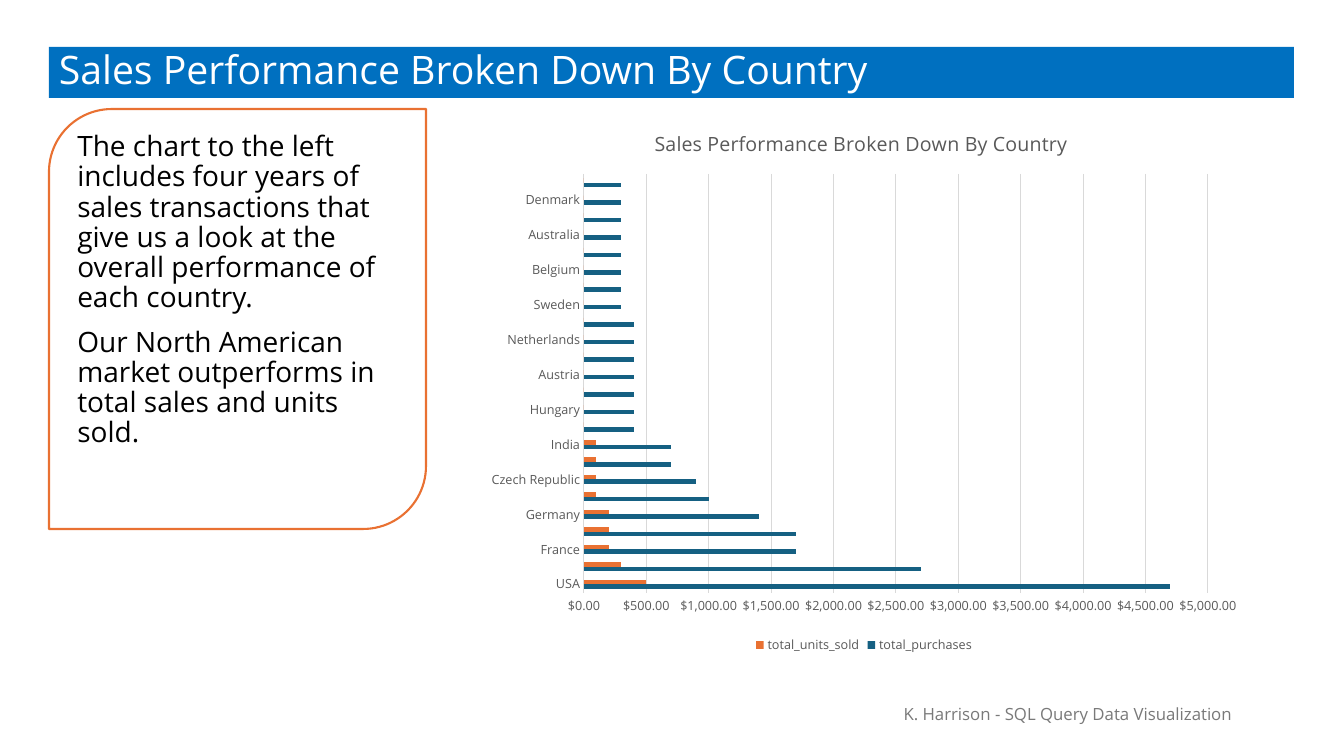
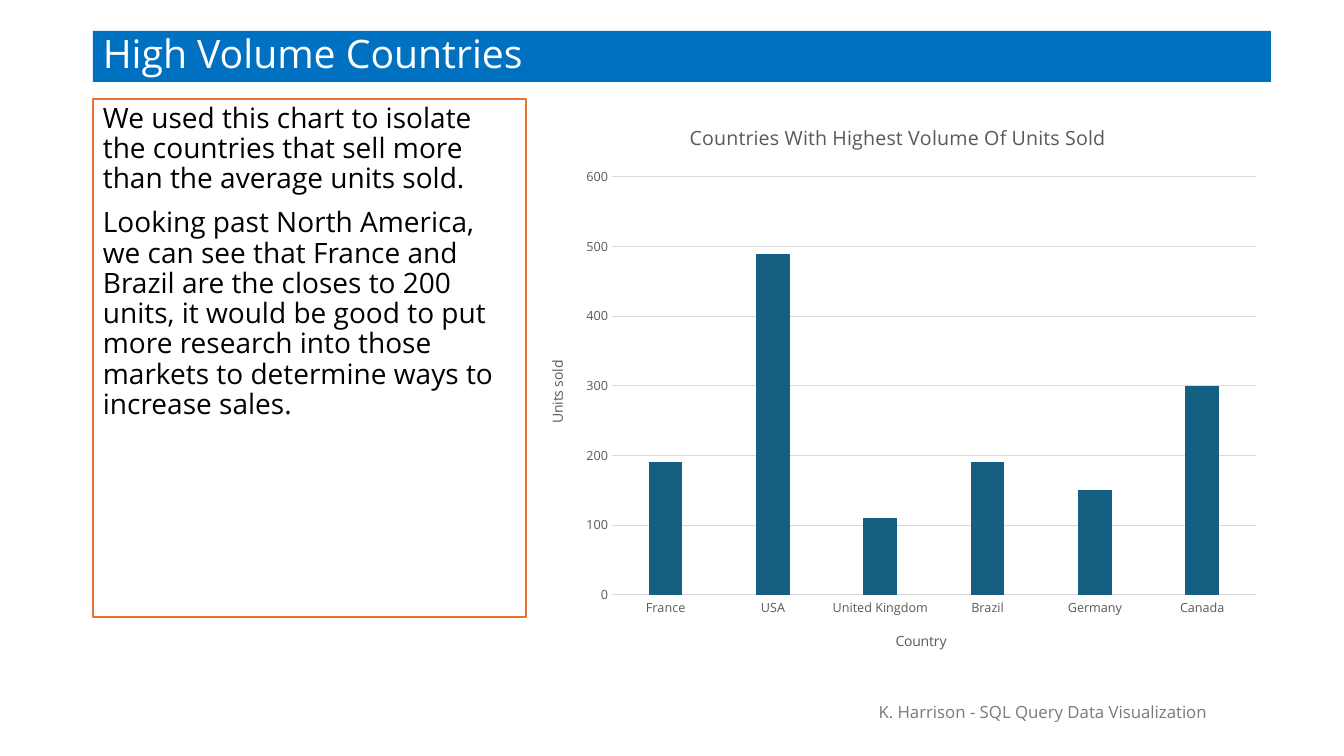
import pptx
import pptx.chart.data
import pptx.dml.color
import pptx.enum.chart
import pptx.enum.shapes
import pptx.enum.text
import pptx.oxml
import pptx.oxml.ns
import pptx.util

RGBColor = pptx.dml.color.RGBColor
BLUE = RGBColor(0x00, 0x70, 0xC0)
TEAL = RGBColor(0x15, 0x60, 0x82)
ORANGE = RGBColor(0xE9, 0x71, 0x32)
WHITE = RGBColor(0xFF, 0xFF, 0xFF)
BLACK = RGBColor(0x00, 0x00, 0x00)
CHART_GRAY = RGBColor(0x59, 0x59, 0x59)
FOOTER_GRAY = RGBColor(0x79, 0x79, 0x79)
GRID_GRAY = RGBColor(0xD9, 0xD9, 0xD9)

FONT = "Open Sans"
FOOTER = "K. Harrison - SQL Query Data Visualization"
EMU_PER_PX = 914400 / 100.8
SHAPES = pptx.enum.shapes.MSO_SHAPE
ANCHORS = pptx.enum.text.MSO_ANCHOR
ALIGNMENTS = pptx.enum.text.PP_ALIGN
CHARTS = pptx.enum.chart.XL_CHART_TYPE
qn = pptx.oxml.ns.qn

TITLE_STYLE = {
    "fill": BLUE, "line": None, "size": 28, "color": WHITE, "anchor": ANCHORS.BOTTOM,
    "paragraph": {"alignment": ALIGNMENTS.LEFT, "line_spacing": 0.9},
}
BODY_STYLE = {
    "fill": WHITE, "line": ORANGE, "size": 20, "color": BLACK, "anchor": ANCHORS.TOP,
    "paragraph": {"alignment": ALIGNMENTS.LEFT, "line_spacing": 0.9,
                  "space_before": pptx.util.Pt(10)},
}
FOOTER_STYLE = {
    "fill": None, "line": None, "size": 12, "color": FOOTER_GRAY, "anchor": ANCHORS.MIDDLE,
    "paragraph": {"alignment": ALIGNMENTS.CENTER},
}

SLIDES = [
    {
        "title": ("Sales Performance Broken Down By Country", (49, 47, 1245, 51)),
        "body_shape": SHAPES.ROUND_2_DIAG_RECTANGLE,
        "body_box": (49, 109, 377, 420),
        "body": [
            "The chart to the left includes four years of sales transactions that give us "
            "a look at the overall performance of each country.",
            "Our North American market outperforms in total sales and units sold.",
        ],
        "footer_box": (841, 694, 454, 40),
        "chart": {
            "type": CHARTS.BAR_CLUSTERED,
            "box": (476, 109, 776, 549),
            "plot_box": (584, 174, 624, 419),
            "title": ("Sales Performance Broken Down By Country", (651, 125)),
            "axis_titles": [],
            "categories": [
                "USA", "Canada", "France", "Brazil", "Germany", "United Kingdom",
                "Czech Republic", "Portugal", "India", "Ireland", "Hungary", "Chile",
                "Austria", "Norway", "Netherlands", "Finland", "Sweden", "Argentina",
                "Belgium", "Poland", "Australia", "Italy", "Denmark", "Spain",
            ],
            "series": [
                ("total_purchases", TEAL,
                 [4700, 2700, 1700, 1700, 1400, 1000, 900, 700, 700]
                 + [400] * 7 + [300] * 8),
                ("total_units_sold", ORANGE,
                 [500, 300, 200, 200, 200] + [100] * 4 + [0] * 15),
            ],
            "plot": {"gap_width": 182},
            "scale": {"minimum_scale": 0, "maximum_scale": 5000, "major_unit": 500},
            "number_format": '"$"#,##0.00',
            "legend": True,
        },
    },
    {
        "title": ("High Volume Countries", (93, 31, 1178, 51)),
        "body_shape": SHAPES.RECTANGLE,
        "body_box": (93, 99, 433, 518),
        "body": [
            "We used this chart to isolate the countries that sell more than the average "
            "units sold.",
            "Looking past North America, we can see that France and Brazil are the closes "
            "to 200 units, it would be good to put more research into those markets to "
            "determine ways to increase sales.",
        ],
        "footer_box": (816, 692, 454, 40),
        "chart": {
            "type": CHARTS.COLUMN_CLUSTERED,
            "box": (526, 103, 745, 570),
            "plot_box": (612, 177, 644, 418),
            "title": ("Countries With Highest Volume Of Units Sold", (686, 119)),
            "axis_titles": [
                ("category_axis", "Country", (893, 628), 0),
                ("value_axis", "Units sold", (544, 358), -90),
            ],
            "categories": ["France", "USA", "United Kingdom", "Brazil", "Germany", "Canada"],
            "series": [("Units sold", TEAL, [190, 490, 110, 190, 150, 300])],
            "plot": {"gap_width": 219, "overlap": -27},
            "scale": {"minimum_scale": 0, "maximum_scale": 600, "major_unit": 100},
            "number_format": "General",
            "legend": False,
        },
    },
]


def px(*lengths):
    """Turn pixel lengths into EMU."""
    return [pptx.util.Emu(round(length * EMU_PER_PX)) for length in lengths]


def place_in_chart(element, index, chart_box, box):
    """Fix a title (left, top) or plot area (left, top, width, height) within its chart."""
    for old_layout in element.findall(qn("c:layout")):
        element.remove(old_layout)
    layout = pptx.oxml.parse_xml(
        f"<c:layout {pptx.oxml.ns.nsdecls('c')}><c:manualLayout/></c:layout>")
    left, top, width, height = chart_box
    values = {"xMode": "edge", "yMode": "edge",
              "x": (box[0] - left) / width, "y": (box[1] - top) / height}
    if len(box) == 4:
        values = {"layoutTarget": "inner", **values,
                  "w": box[2] / width, "h": box[3] / height}
    for name, value in values.items():
        child = layout[0].makeelement(qn(f"c:{name}"), {"val": str(value)})
        layout[0].append(child)
    element.insert(index, layout)


presentation = pptx.Presentation()
presentation.slide_width, presentation.slide_height = px(1344, 756)

for content in SLIDES:
    slide = presentation.slides.add_slide(presentation.slide_layouts[6])

    title_text, title_box = content["title"]
    for kind, box, texts, style in [
        (SHAPES.RECTANGLE, title_box, [title_text], TITLE_STYLE),
        (content["body_shape"], content["body_box"], content["body"], BODY_STYLE),
        (None, content["footer_box"], [FOOTER], FOOTER_STYLE),
    ]:
        if kind is None:
            shape = slide.shapes.add_textbox(*px(*box))
        else:
            shape = slide.shapes.add_shape(kind, *px(*box))
            shape.shadow.inherit = False
            shape.fill.solid()
            shape.fill.fore_color.rgb = style["fill"]
            if style["line"] is None:
                shape.line.fill.background()
            else:
                shape.line.color.rgb = style["line"]
                shape.line.width = pptx.util.Pt(1.5)
        text_frame = shape.text_frame
        text_frame.word_wrap = True
        text_frame.vertical_anchor = style["anchor"]
        text_frame.text = "\n".join(texts)
        for paragraph in text_frame.paragraphs:
            for name, value in style["paragraph"].items():
                setattr(paragraph, name, value)
            font = paragraph.runs[0].font
            font.name = FONT
            font.size = pptx.util.Pt(style["size"])
            font.color.rgb = style["color"]

    settings = content["chart"]
    chart_data = pptx.chart.data.CategoryChartData()
    chart_data.categories = settings["categories"]
    for name, color, values in settings["series"]:
        chart_data.add_series(name, values)
    chart = slide.shapes.add_chart(
        settings["type"], *px(*settings["box"]), chart_data).chart
    chart.font.name = FONT
    chart.font.size = pptx.util.Pt(9)
    chart.font.color.rgb = CHART_GRAY

    plot = chart.plots[0]
    plot.vary_by_categories = False
    for name, value in settings["plot"].items():
        setattr(plot, name, value)
    for series, (name, color, values) in zip(plot.series, settings["series"]):
        series.format.fill.solid()
        series.format.fill.fore_color.rgb = color
    plot_area = chart.element.find(".//" + qn("c:plotArea"))
    place_in_chart(plot_area, 0, settings["box"], settings["plot_box"])

    category_axis, value_axis = chart.category_axis, chart.value_axis
    for axis in (category_axis, value_axis):
        axis.major_tick_mark = pptx.enum.chart.XL_TICK_MARK.NONE
        axis.minor_tick_mark = pptx.enum.chart.XL_TICK_MARK.NONE
    value_axis.has_major_gridlines = True
    for line_format in (category_axis.format.line, value_axis.major_gridlines.format.line):
        line_format.color.rgb = GRID_GRAY
        line_format.width = pptx.util.Pt(0.75)
    value_axis.format.line.fill.background()
    for name, value in settings["scale"].items():
        setattr(value_axis, name, value)
    value_axis.tick_labels.number_format = settings["number_format"]
    value_axis.tick_labels.number_format_is_linked = False

    chart_title_text, chart_title_place = settings["title"]
    titles = [(chart.chart_title, chart_title_text, chart_title_place, 14, 0)]
    for axis_name, text, position, angle in settings["axis_titles"]:
        axis_title = getattr(chart, axis_name).axis_title
        titles.append((axis_title, text, position, 10, angle))
    for title, text, position, size, angle in titles:
        title.text_frame.text = text
        font = title.text_frame.paragraphs[0].runs[0].font
        for name, value in {"name": FONT, "size": pptx.util.Pt(size), "bold": False}.items():
            setattr(font, name, value)
        font.color.rgb = CHART_GRAY
        body_properties = title.element.find(".//" + qn("a:bodyPr"))
        body_properties.set("rot", str(angle * 60000))
        body_properties.set("vert", "horz")
        place_in_chart(title.element, 1, settings["box"], position)

    chart.has_legend = settings["legend"]
    if chart.has_legend:
        chart.legend.position = pptx.enum.chart.XL_LEGEND_POSITION.BOTTOM
        chart.legend.include_in_layout = False

presentation.save("out.pptx")
